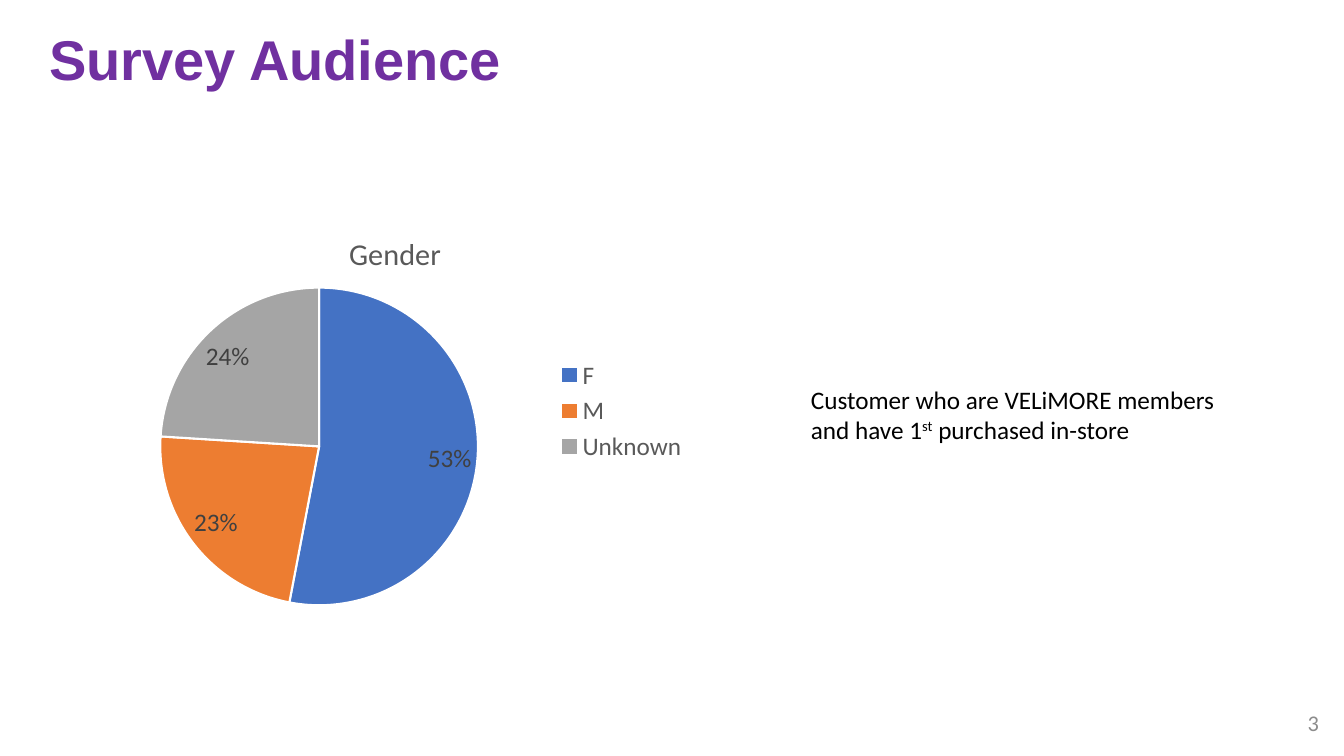
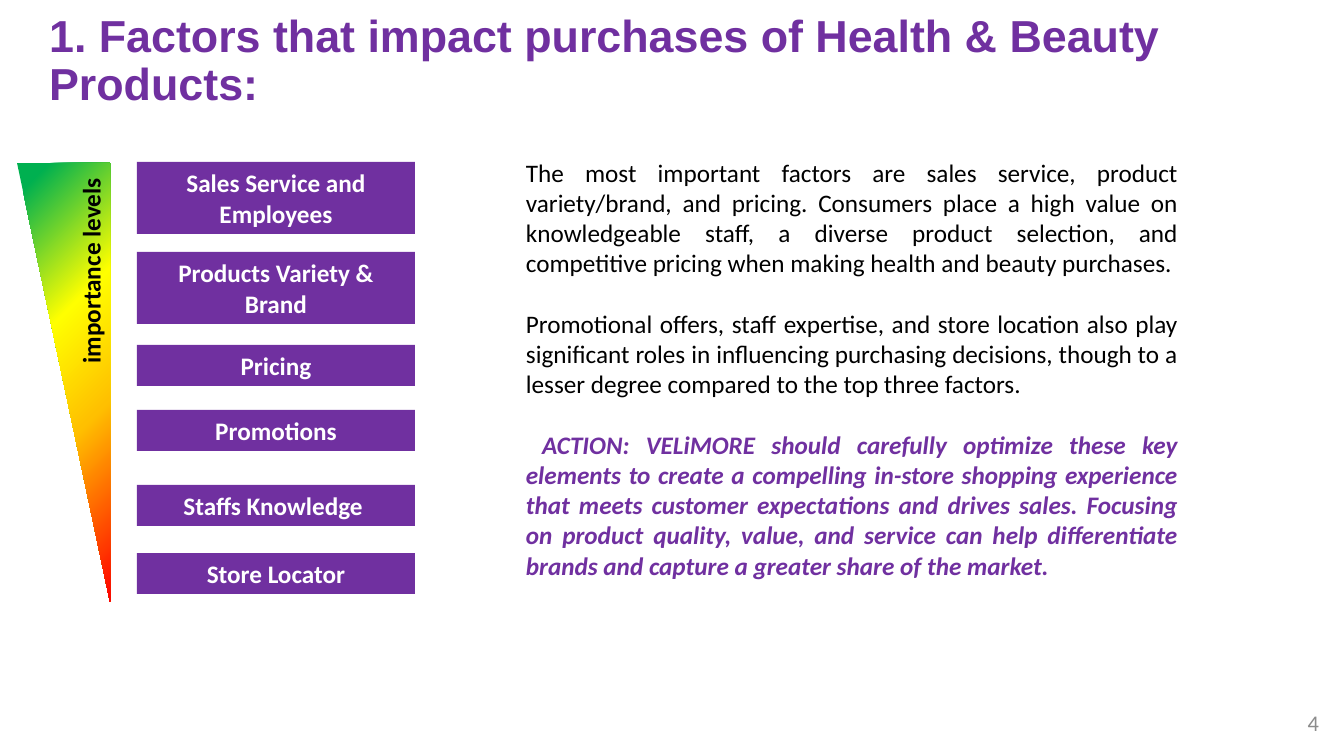
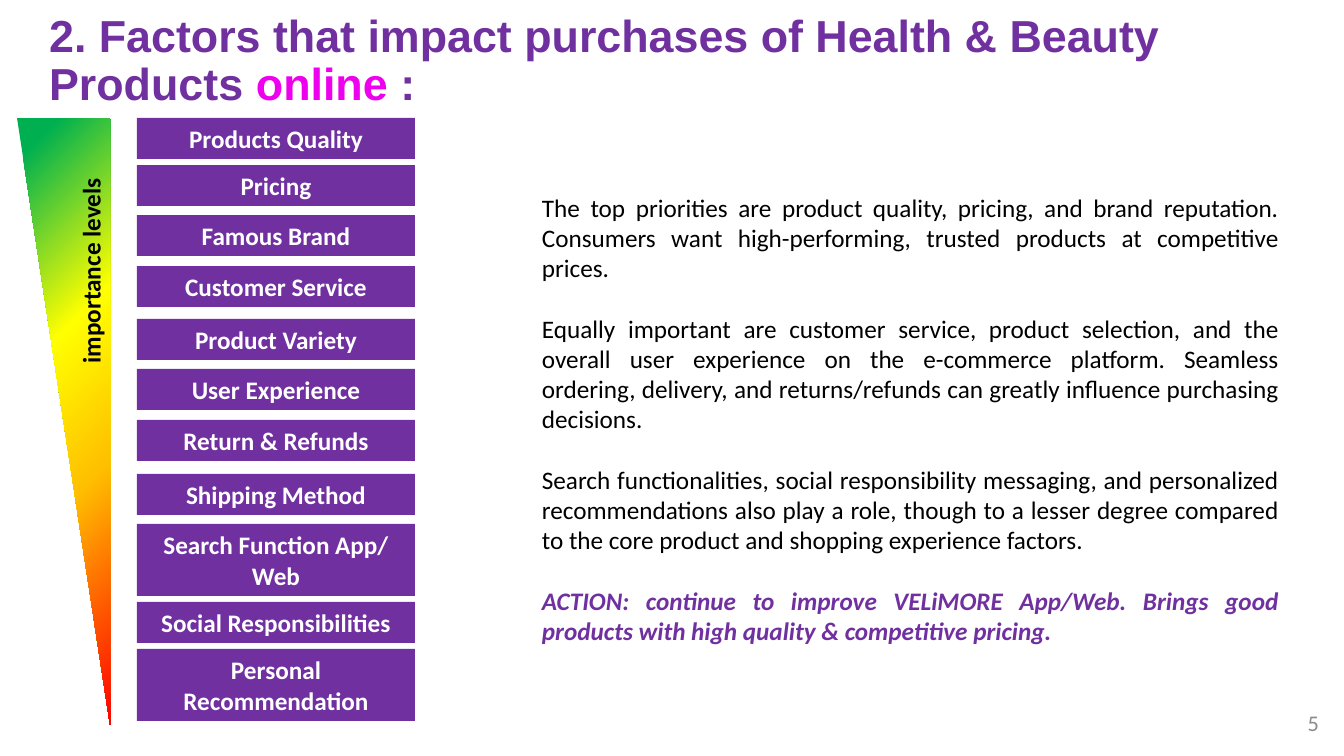
from dataclasses import dataclass

from pptx import Presentation
from pptx.chart.data import CategoryChartData
from pptx.dml.color import RGBColor
from pptx.enum.chart import XL_CHART_TYPE, XL_LABEL_POSITION, XL_LEGEND_POSITION
from pptx.enum.shapes import MSO_SHAPE
from pptx.enum.text import MSO_ANCHOR, MSO_AUTO_SIZE, PP_ALIGN
from pptx.oxml import parse_xml
from pptx.oxml.ns import nsdecls, qn
from pptx.util import Emu, Pt


@dataclass(frozen=True)
class Theme:
    title_font: str = "Arial"
    body_font: str = "Calibri"
    purple: str = "7030A0"
    magenta: str = "EE00EE"
    black: str = "000000"
    white: str = "FFFFFF"
    number_gray: str = "8C8C8C"
    chart_gray: str = "595959"
    label_gray: str = "404040"
    slices: tuple = ("4472C4", "ED7D31", "A5A5A5")
    importance: tuple = ((0, "FF0000"), (38, "FFC000"), (63, "FFFF00"), (94, "00B050"))
    large_title: float = 40
    small_title: float = 32
    chart_title: float = 21.6
    body: float = 18
    number: float = 16
    paragraph_gap: float = 21.6


THEME = Theme()
EMU_PER_PX = 914400 / 100.8
BOX_LEFT, BOX_WIDTH = 137, 278
BOX_HEIGHTS = {1: 41, 2: 72}

STORE_FACTORS = [
    ("Sales Service and Employees", 162, 2),
    ("Products Variety & Brand", 252, 2),
    ("Pricing", 345, 1),
    ("Promotions", 410, 1),
    ("Staffs Knowledge ", 485, 1),
    ("Store Locator", 553, 1),
]
ONLINE_FACTORS = [
    ("Products Quality", 118, 1),
    ("Pricing", 165, 1),
    ("Famous Brand", 215, 1),
    ("Customer Service", 266, 1),
    ("Product Variety", 319, 1),
    ("User Experience", 369, 1),
    ("Return & Refunds", 420, 1),
    ("Shipping Method", 474, 1),
    ("Search Function App/ Web", 524, 2),
    ("Social Responsibilities", 602, 1),
    ("Personal Recommendation", 649, 2),
]
STORE_FINDINGS = [
    "The most important factors are sales service, product variety/brand, and pricing. "
    "Consumers place a high value on knowledgeable staff, a diverse product selection, "
    "and competitive pricing when making health and beauty purchases.",
    "Promotional offers, staff expertise, and store location also play significant roles "
    "in influencing purchasing decisions, though to a lesser degree compared to the top "
    "three factors.",
]
STORE_ACTION = (
    " ACTION: VELiMORE should carefully optimize these key elements to create a compelling "
    "in-store shopping experience that meets customer expectations and drives sales. "
    "Focusing on product quality, value, and service can help differentiate brands and "
    "capture a greater share of the market."
)
ONLINE_FINDINGS = [
    "The top priorities are product quality, pricing, and brand reputation. Consumers want "
    "high-performing, trusted products at competitive prices.",
    "Equally important are customer service, product selection, and the overall user "
    "experience on the e-commerce platform. Seamless ordering, delivery, and returns/refunds "
    "can greatly influence purchasing decisions.",
    "Search functionalities, social responsibility messaging, and personalized "
    "recommendations also play a role, though to a lesser degree compared to the core "
    "product and shopping experience factors.",
]
ONLINE_ACTION = (
    "ACTION: continue to improve VELiMORE App/Web. Brings good products with high quality "
    "& competitive pricing."
)


def px(value):
    return Emu(round(value * EMU_PER_PX))


def place(*lengths):
    return [px(length) for length in lengths]


def format_font(font, color, size=THEME.body, name=THEME.body_font, bold=False, italic=False):
    font.name = name
    font.size = Pt(size)
    font.bold = bold
    font.italic = italic
    font.color.rgb = RGBColor.from_string(color)


def add_runs(paragraph, texts):
    for text in texts:
        paragraph.add_run().text = text
    return paragraph.runs


def add_titled_slide(presentation, title_runs, size, number):
    slide = presentation.slides.add_slide(presentation.slide_layouts[5])
    title = slide.shapes.title
    title.left, title.top, title.width, title.height = place(39, 24, 1258, 76)
    frame = title.text_frame
    frame.word_wrap = True
    frame.auto_size = MSO_AUTO_SIZE.NONE
    frame.vertical_anchor = MSO_ANCHOR.MIDDLE
    paragraph = frame.paragraphs[0]
    paragraph.alignment = PP_ALIGN.LEFT
    paragraph.line_spacing = 0.9
    runs = add_runs(paragraph, [text for text, color in title_runs])
    for run, (text, color) in zip(runs, title_runs):
        format_font(run.font, color, size, THEME.title_font, bold=True)
    frame = add_text_box(slide, 1282, 703, 47, 40).text_frame
    frame.vertical_anchor = MSO_ANCHOR.MIDDLE
    paragraph = frame.paragraphs[0]
    paragraph.text = str(number)
    paragraph.alignment = PP_ALIGN.RIGHT
    format_font(paragraph.runs[0].font, THEME.number_gray, THEME.number)
    return slide


def add_text_box(slide, left, top, width, height, wrap=True):
    box = slide.shapes.add_textbox(*place(left, top, width, height))
    box.text_frame.word_wrap = wrap
    return box


def add_factor_boxes(slide, factors):
    for text, top, lines in factors:
        box = slide.shapes.add_shape(
            MSO_SHAPE.RECTANGLE, *place(BOX_LEFT, top, BOX_WIDTH, BOX_HEIGHTS[lines])
        )
        box.shadow.inherit = False
        box.fill.solid()
        box.fill.fore_color.rgb = RGBColor.from_string(THEME.purple)
        box.line.fill.background()
        box.text_frame.word_wrap = True
        box.text_frame.text = text
        paragraph = box.text_frame.paragraphs[0]
        paragraph.alignment = PP_ALIGN.CENTER
        format_font(paragraph.runs[0].font, THEME.white, bold=True)


def add_importance_scale(slide, top, height):
    wedge = slide.shapes.add_shape(MSO_SHAPE.RIGHT_TRIANGLE, *place(17, top, 93, height))
    wedge.rotation = 180
    wedge.shadow.inherit = False
    wedge.line.fill.background()
    wedge.fill.solid()
    stops = "".join(
        f'<a:gs pos="{position * 1000}"><a:srgbClr val="{color}"/></a:gs>'
        for position, color in THEME.importance
    )
    gradient = parse_xml(
        f'<a:gradFill {nsdecls("a")} rotWithShape="1"><a:gsLst>{stops}</a:gsLst>'
        '<a:path path="circle"><a:fillToRect l="100000" t="100000"/></a:path></a:gradFill>'
    )
    properties = wedge._element.spPr
    properties.replace(properties.find(qn("a:solidFill")), gradient)

    label = add_text_box(slide, -13, 250, 207, 40, wrap=False)
    label.rotation = 270
    label.text_frame.text = "importance levels"
    format_font(label.text_frame.paragraphs[0].runs[0].font, THEME.black, bold=True)


def add_findings(slide, bounds, findings, action):
    frame = add_text_box(slide, *bounds).text_frame
    frame.text = "\n".join([*findings, action])
    for paragraph in frame.paragraphs:
        paragraph.alignment = PP_ALIGN.JUSTIFY
        paragraph.space_after = Pt(THEME.paragraph_gap)
        format_font(paragraph.runs[0].font, THEME.black)
    paragraph.space_after = Pt(0)
    format_font(paragraph.runs[0].font, THEME.purple, bold=True, italic=True)


def set_chart_layout(element, index, target="", **fractions):
    for layout in element.findall(qn("c:layout")):
        element.remove(layout)
    modes = "".join(f'<c:{key}Mode val="edge"/>' for key in "xy")
    values = "".join(f'<c:{key} val="{value}"/>' for key, value in fractions.items())
    element.insert(index, parse_xml(
        f'<c:layout {nsdecls("c")}><c:manualLayout>{target}{modes}{values}'
        "</c:manualLayout></c:layout>"
    ))


def add_gender_chart(slide):
    data = CategoryChartData(number_format="0%")
    data.categories = ["F", "M", "Unknown"]
    data.add_series("Series 1", (0.53, 0.23, 0.24))
    chart = slide.shapes.add_chart(XL_CHART_TYPE.PIE, *place(87, 202, 611, 418), data).chart
    format_font(chart.font, THEME.black)

    chart.has_title = True
    title = chart.chart_title
    title.text_frame.text = "Gender"
    format_font(title.text_frame.paragraphs[0].runs[0].font, THEME.chart_gray, THEME.chart_title)
    set_chart_layout(title._element, 1, x=0.42, y=0.06)
    set_chart_layout(
        chart._chartSpace.chart.plotArea, 0, '<c:layoutTarget val="inner"/>',
        x=0.12, y=0.2, w=0.52, h=0.77,
    )

    chart.has_legend = True
    chart.legend.position = XL_LEGEND_POSITION.RIGHT
    chart.legend.include_in_layout = False
    format_font(chart.legend.font, THEME.chart_gray)

    plot = chart.plots[0]
    plot.vary_by_categories = True
    for index, color in enumerate(THEME.slices):
        slice_format = plot.series[0].points[index].format
        slice_format.fill.solid()
        slice_format.fill.fore_color.rgb = RGBColor.from_string(color)
        slice_format.line.color.rgb = RGBColor.from_string(THEME.white)
        slice_format.line.width = Pt(1.5)
    labels = plot.series[0].data_labels
    labels.show_value = True
    labels.number_format = "0%"
    labels.number_format_is_linked = False
    labels.position = XL_LABEL_POSITION.BEST_FIT
    format_font(labels.font, THEME.label_gray)


def add_audience_note(slide):
    paragraph = add_text_box(slide, 801, 379, 432, 72).text_frame.paragraphs[0]
    runs = add_runs(
        paragraph,
        ["Customer who are VELiMORE members and have 1", "st", " purchased in-store"],
    )
    for run in runs:
        format_font(run.font, THEME.black)
    runs[1].font._element.set("baseline", "30000")


def main():
    presentation = Presentation()
    presentation.slide_width, presentation.slide_height = place(1344, 756)

    audience = add_titled_slide(
        presentation, [("Survey Audience", THEME.purple)], THEME.large_title, 3
    )
    add_gender_chart(audience)
    add_audience_note(audience)

    heading = "Factors that impact purchases of Health & Beauty Products"
    store = add_titled_slide(
        presentation, [(f"1. {heading}:", THEME.purple)], THEME.small_title, 4
    )
    add_factor_boxes(store, STORE_FACTORS)
    add_importance_scale(store, 163, 439)
    add_findings(store, (516, 152, 672, 437), STORE_FINDINGS, STORE_ACTION)

    online_title = [
        (f"2. {heading} ", THEME.purple), ("online", THEME.magenta), (" :", THEME.purple)
    ]
    online = add_titled_slide(presentation, online_title, THEME.small_title, 5)
    add_factor_boxes(online, ONLINE_FACTORS)
    add_importance_scale(online, 118, 607)
    add_findings(online, (532, 187, 757, 468), ONLINE_FINDINGS, ONLINE_ACTION)

    presentation.save("out.pptx")


if __name__ == "__main__":
    main()
